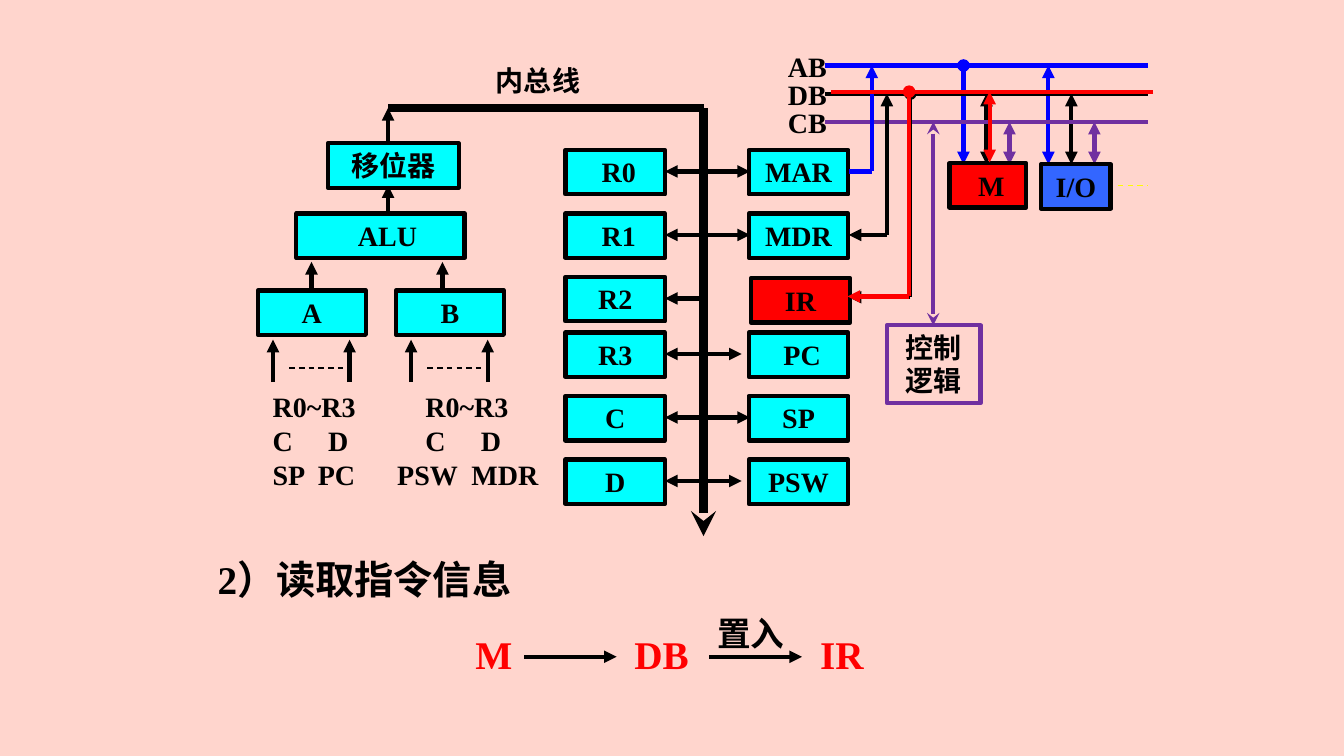
from lxml.etree import SubElement
from pptx import Presentation
from pptx.dml.color import RGBColor as Color
from pptx.enum.dml import MSO_LINE_DASH_STYLE as Dash
from pptx.enum.shapes import MSO_CONNECTOR as Link, MSO_SHAPE as Kind
from pptx.enum.text import MSO_ANCHOR as Anchor, MSO_AUTO_SIZE as Fit, PP_ALIGN as Align
from pptx.oxml.ns import qn
from pptx.util import Cm, Pt

FONT = "Times New Roman"
BLACK = Color(0, 0, 0)
RED = Color(0xFF, 0, 0)
BLUE = Color(0, 0, 0xFF)
CYAN = Color(0, 0xFF, 0xFF)
AZURE = Color(0x33, 0x66, 0xFF)
PURPLE = Color(0x70, 0x30, 0xA0)
YELLOW = Color(0xFF, 0xFF, 0)
PINK = Color(0xFF, 0xD5, 0xCD)
HIGH = 1.12  # height of a block
BOTH = dict(head="triangle", tail="triangle")
TO = dict(tail="triangle")


# Basic parts: text, label, block and wire
def write(par, text, size=20, color=BLACK):
    run = par.add_run()
    run.text = text
    font = run.font
    font.name, font.size, font.bold = FONT, Pt(size), True
    font.color.rgb = color


def place(box, x, y, w, h):
    return Cm(box[0] + x), Cm(box[1] + y), Cm(w), Cm(h)


def label(slide, box, x, y, w, h, text, size=20, color=BLACK, align=Align.LEFT):
    frame = slide.shapes.add_textbox(*place(box, x, y, w, h)).text_frame
    frame.word_wrap = True
    par = frame.paragraphs[0]
    par.alignment = align
    write(par, text, size, color)


def block(slide, box, x, y, w, text, fill=CYAN, edge=BLACK, h=HIGH, pad=0):
    shape = slide.shapes.add_shape(Kind.RECTANGLE, *place(box, x, y, w, h))
    shape.shadow.inherit = False
    if fill is None:
        shape.fill.background()
    else:
        shape.fill.solid()
        shape.fill.fore_color.rgb = fill
    shape.line.color.rgb, shape.line.width = edge, Pt(3)
    frame = shape.text_frame
    frame.word_wrap = True
    frame.vertical_anchor = Anchor.TOP
    frame.margin_left = Cm(0.25 + pad)
    par = frame.paragraphs[0]
    par.alignment = Align.CENTER
    write(par, text)


def wire(slide, box, x1, y1, x2, y2, color=BLACK, wide=3, head=None, tail=None, dash=False):
    left, top = box
    link = slide.shapes.add_connector(
        Link.STRAIGHT, Cm(left + x1), Cm(top + y1), Cm(left + x2), Cm(top + y2))
    link.line.color.rgb, link.line.width = color, Pt(wide)
    if dash:
        link.line.dash_style = Dash.DASH
    props = link._element.spPr
    for tag, kind in (("a:headEnd", head), ("a:tailEnd", tail)):
        if kind:
            SubElement(props.find(qn("a:ln")), qn(tag), type=kind)
    SubElement(props, qn("a:effectLst"))


# Heading of the step
def title(slide, box):
    shape = slide.shapes.title
    shape.left, shape.top, shape.width, shape.height = place(box, 0, 0, 10.36, 1.45)
    frame = shape.text_frame
    frame.auto_size, frame.vertical_anchor = Fit.NONE, Anchor.TOP
    par = frame.paragraphs[0]
    par.alignment = Align.LEFT
    write(par, "2）读取指令信息", 28)


# Transfer M -> DB -> IR
def flow(slide, box):
    for x, text in ((0, "M"), (4.01, "DB"), (8.69, "IR")):
        label(slide, box, x, 0, 2.34, 1.45, text, 28, RED)
    for x in (1.48, 6.15):
        wire(slide, box, x, 0.8, x + 2.33, 0.8, **TO)
    label(slide, box, 6.1, -0.43, 2.74, 1.27, "置入", 24)


# Shifter, ALU and its two input latches
def unit(slide, box):
    for x, y1, y2 in ((1.35, 4.6, 3.88), (4.65, 4.6, 3.88), (3.28, 2.64, 1.95), (3.28, 0.89, 0)):
        wire(slide, box, x, y1, x, y2, **TO)
    block(slide, box, 1.76, 0.89, 3.3, "移位器")
    block(slide, box, 0.97, 2.66, 4.24, "ALU", pad=0.35)
    for i, name in enumerate("AB"):
        x = 3.48 * i
        block(slide, box, x, 4.6, 2.72, name)
        for side in (0.38, 2.31):
            wire(slide, box, x + side, 6.91, x + side, 5.84, **TO)
        wire(slide, box, x + 0.79, 6.55, x + 2.14, 6.55, wide=1, dash=True)
    feeds(slide, box)


# Sources of the latches, set out with tab stops
def feeds(slide, box):
    rows = (("R0~R3\tR0~R3", (3.85,)),
            ("C\tD\tC\tD", (1.4, 3.85, 5.25)),
            ("SP\tPC\tPSW\tMDR", (1.14, 3.14, 5.01)))
    frame = slide.shapes.add_textbox(*place(box, 0.37, 7.26, 7.2, 2.64)).text_frame
    frame.word_wrap = True
    frame.margin_left = 0
    for i, (text, stops) in enumerate(rows):
        par = frame.add_paragraph() if i else frame.paragraphs[0]
        par.line_spacing = 0.6
        if i:
            par.space_before = Pt(10)
        tabs = SubElement(par._p.get_or_add_pPr(), qn("a:tabLst"))
        for stop in stops:
            SubElement(tabs, qn("a:tab"), pos=str(Cm(stop)), algn="l")
        write(par, text)


# Inner bus
def trunk(slide, box):
    label(slide, box, 1.75, -1.25, 4.06, HIGH, "内总线", align=Align.CENTER)
    wire(slide, box, 0, 0, 7.95, 0, wide=6)
    wire(slide, box, 7.95, 0, 7.95, 10.79, wide=6, tail="stealth")


# Two columns of registers, joined to the inner bus
def bank(slide, box):
    rows = (("R0", 0.18, "MAR", 0, 4.65), ("R1", 0.18, "MDR", 0, 4.65),
            ("R2", 0, "IR", 0, None), ("R3", 0, "PC", 0.18, 4.44),
            ("C", 0, "SP", 0, 4.65), ("D", 0, "PSW", 0, 4.44))
    for i, (left, lpad, right, rpad, end) in enumerate(rows):
        y = 1.6 * i - (0.2 if i > 2 else 0)
        mid = y + 0.54
        if end:
            wire(slide, box, end, mid, 2.51, mid, **BOTH)
        else:
            wire(slide, box, 3.48, mid, 2.51, mid, **TO)
        block(slide, box, 0, y, 2.51, left, pad=lpad)
        if right == "IR":
            block(slide, box, 4.67, y + 0.03, 2.51, right, RED)
        else:
            block(slide, box, 4.62, y, 2.51, right, pad=rpad)


# Address, data and control buses with all that hangs on them
def buses(slide, box):
    step, foot = 0.71, 2.49
    for i, (name, color) in enumerate((("AB", BLUE), ("DB", BLACK), ("CB", PURPLE))):
        y = step * i
        label(slide, box, -1.52, y - 0.53, 2.13, HIGH, name, align=Align.CENTER)
        wire(slide, box, 0, y, 8.13, y, color)
        for x, first in ((3.48, "oval"), (5.62, "triangle")):
            head = "triangle" if i else first
            x += 0.58 * i
            wire(slide, box, x, y, x, foot, color, head=head, tail="triangle")

    # Links to MAR, MDR and IR
    wire(slide, box, 0.59, 2.67, 1.17, 2.67, BLUE)
    wire(slide, box, 1.17, 2.67, 1.17, 0, BLUE, **TO)
    wire(slide, box, 1.55, 4.27, 0.59, 4.27, **TO)
    wire(slide, box, 1.55, 4.27, 1.55, step, **TO)
    wire(slide, box, 2.14, step, 2.14, 5.84, head="oval")
    wire(slide, box, 2.14, 5.84, 0.59, 5.84, **TO)

    # Control logic, memory and I/O
    wire(slide, box, 2.72, 2 * step, 2.72, 6.55, PURPLE, head="stealth", tail="stealth")
    block(slide, box, 1.55, 6.55, 2.36, "控制逻辑", None, PURPLE, 1.96)
    block(slide, box, 3.13, 2.46, 1.93, "M", RED, pad=0.18)
    block(slide, box, 5.44, foot, 1.75, "I/O", AZURE)
    wire(slide, box, 7.37, 3.02, 8.13, 3.02, YELLOW, 1, dash=True)

    # Active route in red
    wire(slide, box, 4.14, 0.66, 4.14, 2.44, RED, **BOTH)
    wire(slide, box, 8.26, 0.66, 0.13, 0.66, RED)
    wire(slide, box, 2.11, 0.66, 2.11, 5.82, RED, head="oval")
    wire(slide, box, 2.11, 5.82, 0.56, 5.82, RED, **TO)


def main():
    deck = Presentation()
    deck.slide_width, deck.slide_height = Cm(33.87), Cm(19.05)
    slide = deck.slides.add_slide(deck.slide_layouts[5])
    back = slide.background.fill
    back.solid()
    back.fore_color.rgb = PINK
    title(slide, (5.23, 13.87))
    flow(slide, (11.73, 15.75))
    unit(slide, (6.5, 2.72))
    trunk(slide, (9.78, 2.72))
    bank(slide, (14.25, 3.78))
    buses(slide, (20.8, 1.65))
    deck.save("out.pptx")


if __name__ == "__main__":
    main()
